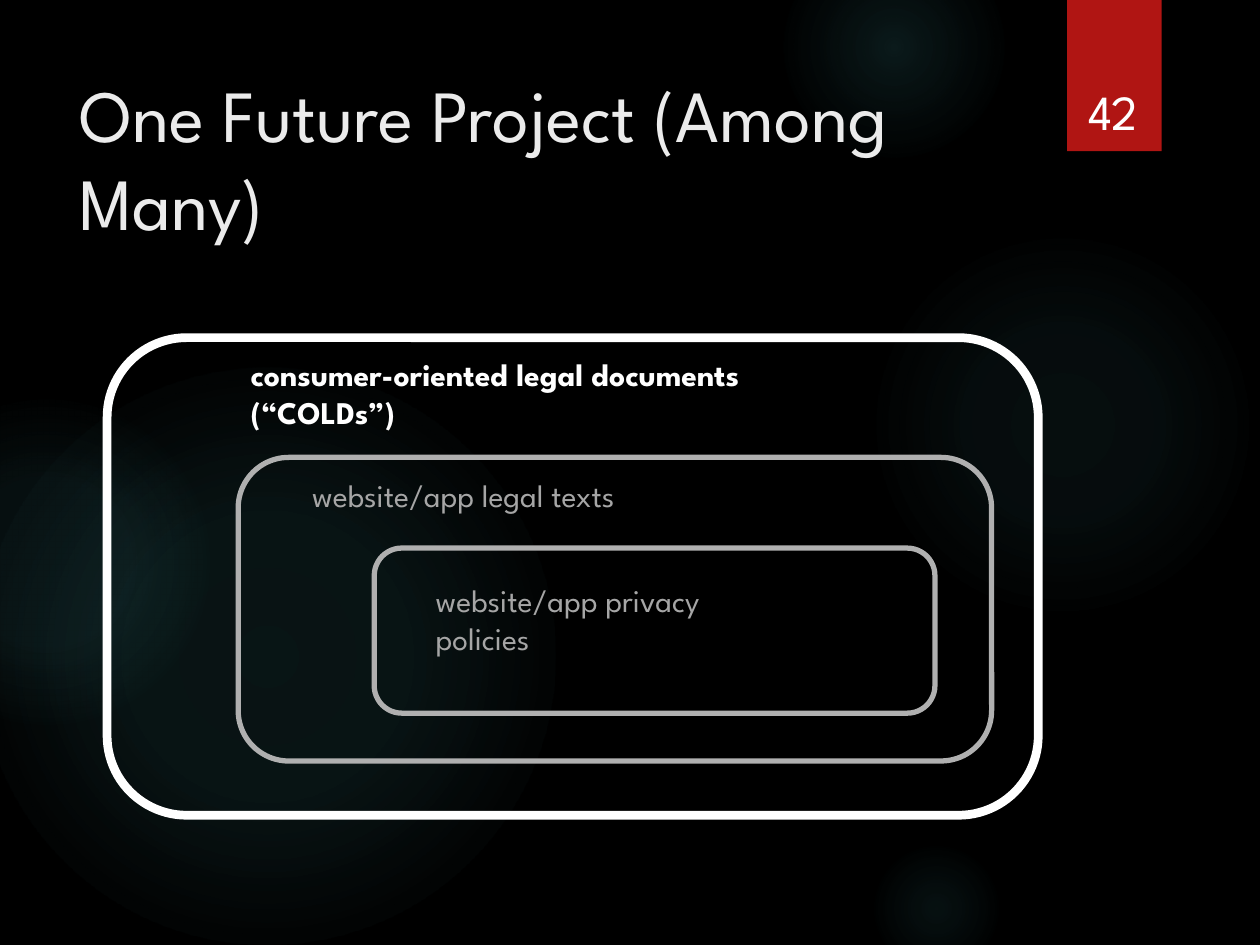
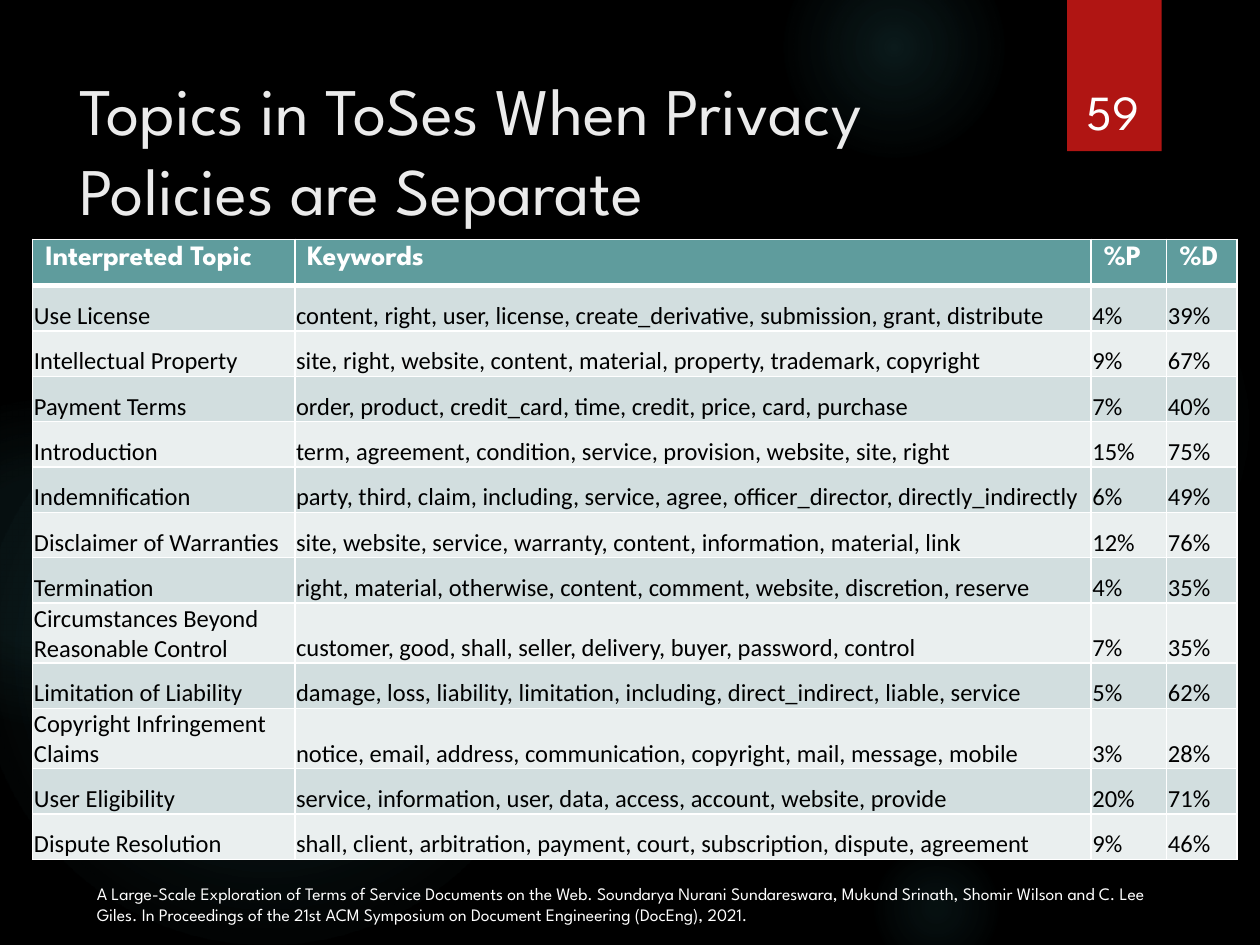
from dataclasses import dataclass

from pptx import Presentation
from pptx.dml.color import RGBColor
from pptx.enum.shapes import MSO_SHAPE
from pptx.enum.text import MSO_ANCHOR, MSO_AUTO_SIZE, PP_ALIGN
from pptx.oxml import parse_xml
from pptx.oxml.ns import nsdecls, qn
from pptx.util import Inches, Pt


@dataclass(frozen=True)
class Theme:
    """Colours, fonts and type sizes shared by the slides."""

    background: str = "000000"
    glow: str = "50B9C1"
    ribbon: str = "B01513"
    title: str = "EBEBEB"
    white: str = "FFFFFF"
    muted_line: str = "B0B0B0"
    muted_text: str = "A6A6A6"
    table_header: str = "5F9C9D"
    table_bands: tuple = ("D2DEDF", "EAEFEF")
    table_text: str = "000000"
    display_font: str = "League Spartan"
    table_font: str = "Calibri"
    title_size: int = 42
    long_title_size: int = 38
    number_size: int = 28
    label_size: int = 18
    header_size: int = 16
    table_size: int = 14
    citation_size: int = 10


THEME = Theme()

GLOWS = [
    (6.89, 1.83, 3.08, [(0, 7), (36, 6), (69, 0)]),
    (6.22, -0.5, 1.75, [(0, 14), (36, 7), (73, 0)]),
    (6.89, 6.67, 1.08, [(0, 9), (36, 5), (66, 0)]),
    (-0.17, 2.92, 4.58, [(0, 11), (36, 10), (75, 0)]),
    (-0.92, 3.17, 2.58, [(0, 8), (36, 8), (72, 0)]),
]

SCOPE_FRAMES = [
    ((2.97, 4.35, 4.45, 1.31), THEME.muted_line, 3),
    ((1.89, 3.63, 5.98, 2.41), THEME.muted_line, 3),
    ((0.85, 2.68, 7.39, 3.79), THEME.white, 5),
]

SCOPE_LABELS = [
    ("website/app privacy policies", (3.36, 4.56, 2.38, 0.71), THEME.muted_text, False),
    ("website/app legal texts", (2.38, 3.73, 4.54, 0.4), THEME.muted_text, False),
    ("consumer-oriented legal documents (“COLDs”)", (1.89, 2.77, 5.25, 0.71), THEME.white, True),
]

TOPIC_COLUMNS = [2.08, 6.32, 0.6, 0.56]
TOPIC_HEADER = ("Interpreted Topic", "Keywords", "%P", "%D")
TOPICS = [
    ("Use License", "content, right, user, license, create_derivative, submission, grant, distribute", "4%", "39%"),
    ("Intellectual Property", "site, right, website, content, material, property, trademark, copyright", "9%", "67%"),
    ("Payment Terms", "order, product, credit_card, time, credit, price, card, purchase", "7%", "40%"),
    ("Introduction", "term, agreement, condition, service, provision, website, site, right", "15%", "75%"),
    ("Indemnification", "party, third, claim, including, service, agree, officer_director, directly_indirectly",
     "6%", "49%"),
    ("Disclaimer of Warranties", "site, website, service, warranty, content, information, material, link",
     "12%", "76%"),
    ("Termination", "right, material, otherwise, content, comment, website, discretion, reserve", "4%", "35%"),
    ("Circumstances Beyond Reasonable Control", "customer, good, shall, seller, delivery, buyer, password, control",
     "7%", "35%"),
    ("Limitation of Liability", "damage, loss, liability, limitation, including, direct_indirect, liable, service",
     "5%", "62%"),
    ("Copyright Infringement Claims", "notice, email, address, communication, copyright, mail, message, mobile",
     "3%", "28%"),
    ("User Eligibility", "service, information, user, data, access, account, website, provide", "20%", "71%"),
    ("Dispute Resolution", "shall, client, arbitration, payment, court, subscription, dispute, agreement",
     "9%", "46%"),
]

CITATION = (
    "A Large-Scale Exploration of Terms of Service Documents on the Web. Soundarya Nurani Sundareswara, "
    "Mukund Srinath, Shomir Wilson and C. Lee Giles. In Proceedings of the 21st ACM Symposium on Document "
    "Engineering (DocEng), 2021."
)


def write_text(frame, text, *, size, color, font=THEME.display_font, bold=False, align=PP_ALIGN.LEFT):
    """Write one formatted paragraph into a text frame."""
    paragraph = frame.paragraphs[0]
    paragraph.alignment = align
    run = paragraph.add_run()
    run.text = text
    run.font.name = font
    run.font.size = Pt(size)
    run.font.bold = bold
    run.font.color.rgb = RGBColor.from_string(color)


def add_text(slide, text, box, *, anchor=MSO_ANCHOR.TOP, grow=False, **text_format):
    """Add a wrapping text box."""
    frame = slide.shapes.add_textbox(*map(Inches, box)).text_frame
    frame.word_wrap = True
    frame.vertical_anchor = anchor
    frame.auto_size = MSO_AUTO_SIZE.SHAPE_TO_FIT_TEXT if grow else MSO_AUTO_SIZE.NONE
    write_text(frame, text, **text_format)


def add_plain_shape(slide, kind, box):
    """Add a preset shape without fill, line or shadow."""
    shape = slide.shapes.add_shape(kind, *map(Inches, box))
    shape.shadow.inherit = False
    shape.fill.background()
    shape.line.fill.background()
    return shape


def add_glow(slide, left, top, diameter, stops):
    """Add a circle of light that fades out from its centre."""
    shape = add_plain_shape(slide, MSO_SHAPE.OVAL, (left, top, diameter, diameter))
    stop_xml = "".join(
        f'<a:gs pos="{position * 1000}"><a:srgbClr val="{THEME.glow}">'
        f'<a:alpha val="{opacity * 1000}"/></a:srgbClr></a:gs>'
        for position, opacity in stops
    )
    gradient = parse_xml(
        f'<a:gradFill {nsdecls("a")} rotWithShape="1"><a:gsLst>{stop_xml}</a:gsLst><a:path path="circle">'
        '<a:fillToRect l="50000" t="50000" r="50000" b="50000"/></a:path></a:gradFill>'
    )
    properties = shape.element.spPr
    properties.replace(properties.find(qn("a:noFill")), gradient)


def add_frame(slide, box, color, width):
    """Add a rounded outline."""
    line = add_plain_shape(slide, MSO_SHAPE.ROUNDED_RECTANGLE, box).line
    line.color.rgb = RGBColor.from_string(color)
    line.width = Pt(width)


def add_base_slide(presentation, title, number, title_size):
    """Add a slide with its glowing backdrop, ribbon, title and number."""
    slide = presentation.slides.add_slide(presentation.slide_layouts[6])
    fill = slide.background.fill
    fill.solid()
    fill.fore_color.rgb = RGBColor.from_string(THEME.background)
    for glow in GLOWS:
        add_glow(slide, *glow)
    ribbon = add_plain_shape(slide, MSO_SHAPE.RECTANGLE, (8.47, 0, 0.75, 1.2))
    ribbon.fill.solid()
    ribbon.fill.fore_color.rgb = RGBColor.from_string(THEME.ribbon)
    add_text(slide, title, (0.53, 0.5, 7.72, 1.53), size=title_size, color=THEME.title)
    add_text(slide, number, (8.49, 0.32, 0.69, 0.84), anchor=MSO_ANCHOR.BOTTOM,
             size=THEME.number_size, color=THEME.white, align=PP_ALIGN.CENTER)
    return slide


def style_cell(cell, fill, top_width, bottom_width):
    """Give a cell white borders and a solid fill."""
    properties = cell._tc.get_or_add_tcPr()
    for side, width in zip("LRTB", (1, 1, top_width, bottom_width)):
        properties.append(parse_xml(
            f'<a:ln{side} {nsdecls("a")} w="{Pt(width)}"><a:solidFill>'
            f'<a:srgbClr val="{THEME.white}"/></a:solidFill></a:ln{side}>'
        ))
    cell.fill.solid()
    cell.fill.fore_color.rgb = RGBColor.from_string(fill)


def add_topic_table(slide, left, top, row_height):
    """Add the table of topics with a header and banded rows."""
    rows = [TOPIC_HEADER, *TOPICS]
    table = slide.shapes.add_table(
        len(rows), len(TOPIC_COLUMNS), Inches(left), Inches(top),
        Inches(sum(TOPIC_COLUMNS)), Inches(row_height * len(rows)),
    ).table
    for column, width in zip(table.columns, TOPIC_COLUMNS):
        column.width = Inches(width)
    for row_index, values in enumerate(rows):
        table.rows[row_index].height = Inches(row_height)
        for cell, value in zip(table.rows[row_index].cells, values):
            if row_index == 0:
                style_cell(cell, THEME.table_header, 1, 3)
                write_text(cell.text_frame, value, size=THEME.header_size, color=THEME.white, bold=True)
                continue
            style_cell(cell, THEME.table_bands[(row_index - 1) % 2], 3 if row_index == 1 else 1, 1)
            cell.vertical_anchor = MSO_ANCHOR.BOTTOM
            cell.margin_left = cell.margin_right = cell.margin_top = Inches(0.01)
            cell.margin_bottom = 0
            write_text(cell.text_frame, value, size=THEME.table_size, color=THEME.table_text,
                       font=THEME.table_font)


def build_project_slide(presentation):
    """Build the nested scopes of the future project."""
    slide = add_base_slide(presentation, "One Future Project (Among Many)", "42", THEME.title_size)
    for frame in SCOPE_FRAMES:
        add_frame(slide, *frame)
    for text, box, color, bold in SCOPE_LABELS:
        add_text(slide, text, box, grow=True, size=THEME.label_size, color=color, bold=bold)


def build_topics_slide(presentation):
    """Build the table of topics with its citation."""
    slide = add_base_slide(presentation, "Topics in ToSes When Privacy Policies are Separate", "59",
                           THEME.long_title_size)
    add_text(slide, CITATION, (0.67, 6.96, 8.66, 0.44), grow=True,
             size=THEME.citation_size, color=THEME.white)
    add_topic_table(slide, 0.26, 1.9, 0.36)


def main():
    """Build and save the presentation."""
    presentation = Presentation()
    presentation.slide_width = Inches(10)
    presentation.slide_height = Inches(7.5)
    build_project_slide(presentation)
    build_topics_slide(presentation)
    presentation.save("out.pptx")


if __name__ == "__main__":
    main()
